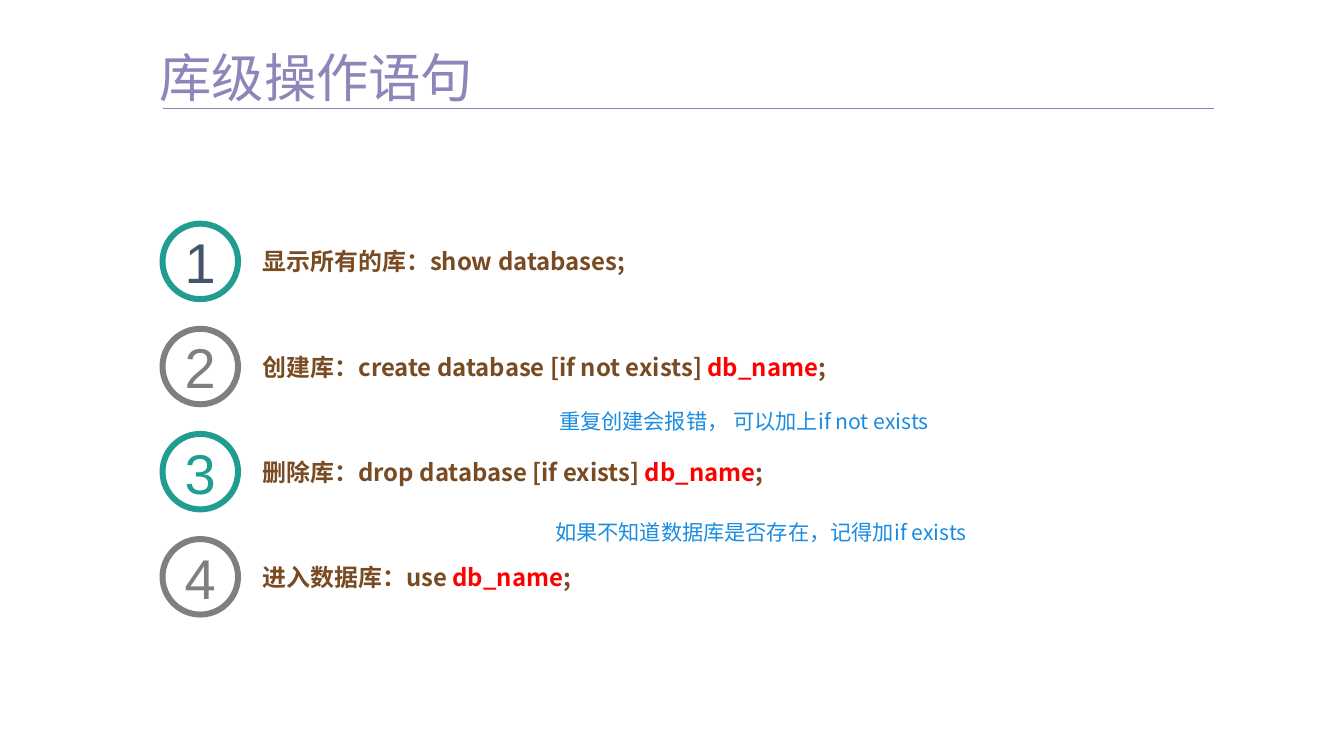
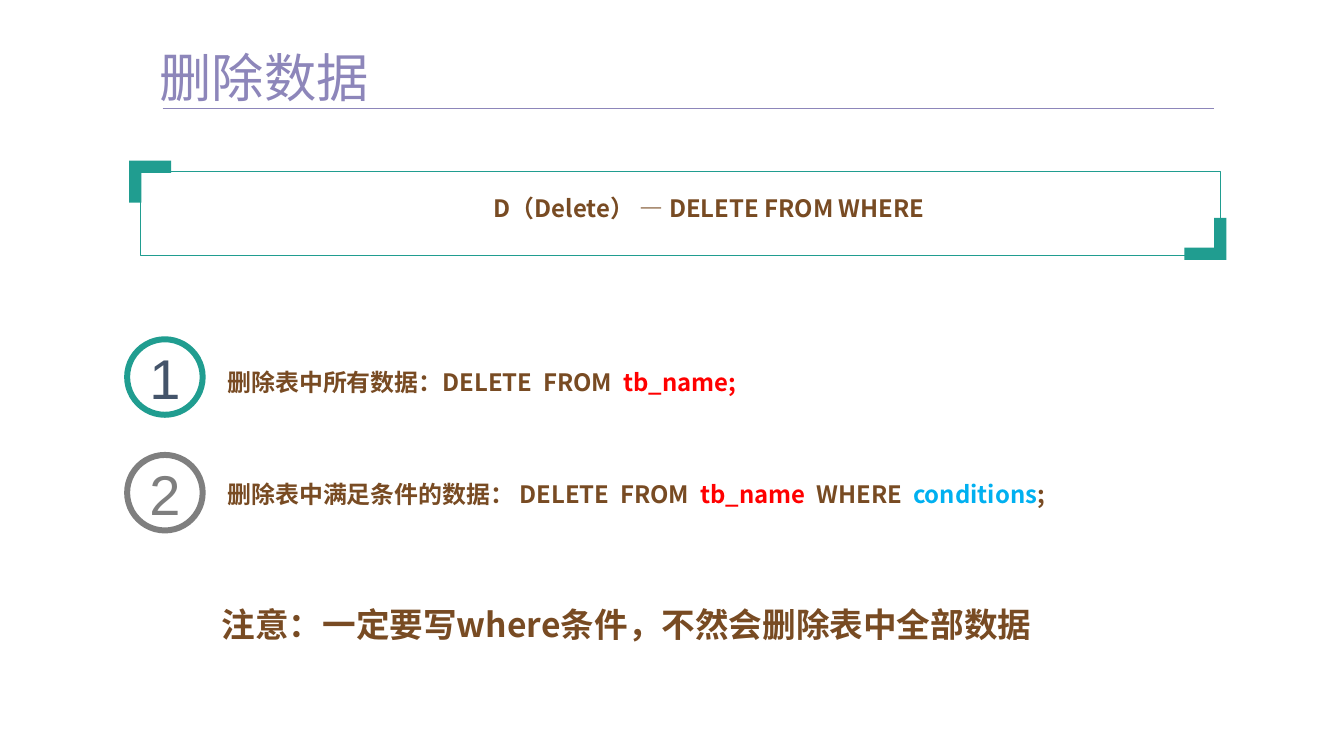
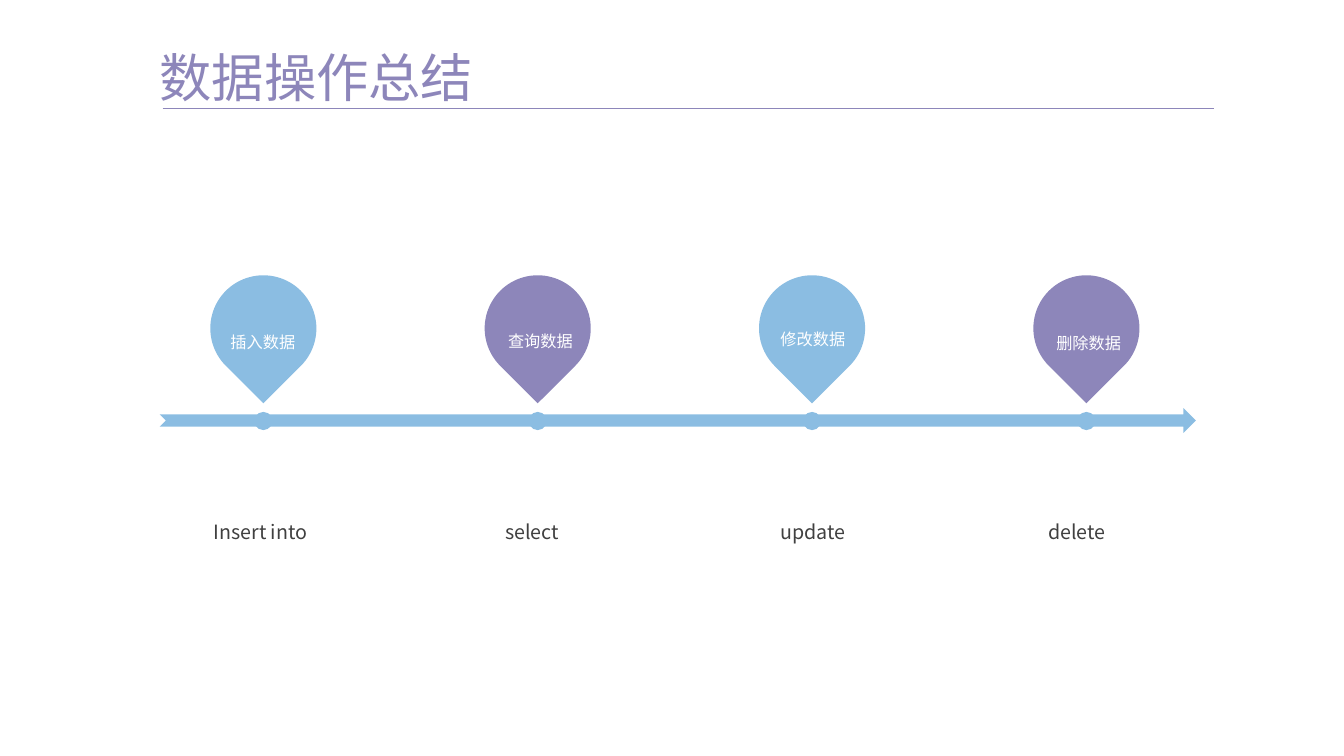
from lxml import etree
from pptx import Presentation
from pptx.dml.color import RGBColor
from pptx.enum.shapes import MSO_CONNECTOR, MSO_SHAPE
from pptx.enum.text import MSO_ANCHOR, MSO_AUTO_SIZE, PP_ALIGN
from pptx.oxml.ns import qn
from pptx.util import Inches, Pt

STRAIGHT = MSO_CONNECTOR.STRAIGHT
OVAL, RECT = MSO_SHAPE.OVAL, MSO_SHAPE.RECTANGLE
DROP, ARROW = MSO_SHAPE.TEAR, MSO_SHAPE.NOTCHED_RIGHT_ARROW
TOP, MIDDLE = MSO_ANCHOR.TOP, MSO_ANCHOR.MIDDLE
LEFT, CENTER = PP_ALIGN.LEFT, PP_ALIGN.CENTER
GROW = MSO_AUTO_SIZE.SHAPE_TO_FIT_TEXT

SANS, ARIAL = "Noto Sans CJK SC", "Arial"
PURPLE, TEAL, GRAY, SKY = "8D86BA", "209D90", "7F7F7F", "8BBDE2"
BROWN, RED, CYAN, BLUE = "784B23", "FF0000", "00B0F0", "1A8CE1"
SLATE, DARK, WHITE = "44546A", "404040", "FFFFFF"
PAD, FLUSH = (0.1, 0.05), (0, 0)
RING = 0.79


def rgb(code):
    return RGBColor.from_string(code)


def paint(shape, fill=None, line=None, width=1):
    shape.shadow.inherit = False
    if fill:
        shape.fill.solid()
        shape.fill.fore_color.rgb = rgb(fill)
    else:
        shape.fill.background()
    if line:
        shape.line.color.rgb = rgb(line)
        shape.line.width = Pt(width)
    else:
        shape.line.fill.background()
    return shape


def write(shape, runs, size, font=SANS, bold=False, align=LEFT, anchor=TOP,
          pad=FLUSH, lead=None, base=None):
    """Fill a shape with one paragraph of (text, colour) runs."""
    frame = shape.text_frame
    frame.word_wrap = True
    frame.vertical_anchor = anchor
    frame.margin_left = frame.margin_right = Inches(pad[0])
    frame.margin_top = frame.margin_bottom = Inches(pad[1])
    para = frame.paragraphs[0]
    para.alignment = align
    if lead:
        para.line_spacing = lead
    for text, color in runs:
        run = para.add_run()
        run.text = text
        run.font.size = Pt(size)
        run.font.name = font
        run.font.bold = bold
        run.font.color.rgb = rgb(color)
        props = run.font._element
        etree.SubElement(props, qn("a:ea")).set("typeface", font)
        if base:
            props.set("baseline", str(base))


class Deck:
    """Holds the shared style and the current slide."""

    def __init__(self):
        self.prs = Presentation()
        self.prs.slide_width = Inches(14.06)
        self.prs.slide_height = Inches(7.91)
        self.shapes = None

    def page(self, title):
        self.shapes = self.prs.slides.add_slide(self.prs.slide_layouts[5]).shapes
        head = self.shapes.title
        head.left, head.top = Inches(1.67), Inches(0.47)
        head.width, head.height = Inches(11), Inches(0.66)
        write(head, [(title, PURPLE)], 39.4)
        head.text_frame.auto_size = GROW
        rule = self.shapes.add_connector(
            STRAIGHT, Inches(1.7), Inches(1.13), Inches(12.7), Inches(1.13))
        rule.line.color.rgb = rgb(PURPLE)
        rule.line.width = Pt(0.5)
        etree.SubElement(rule._element.spPr, qn("a:effectLst"))

    def shape(self, kind, x, y, w, h, **look):
        item = self.shapes.add_shape(kind, Inches(x), Inches(y), Inches(w), Inches(h))
        return paint(item, **look)

    def text(self, x, y, w, h, runs, size, **style):
        box = self.shapes.add_textbox(Inches(x), Inches(y), Inches(w), Inches(h))
        write(box, runs, size, **style)
        box.text_frame.auto_size = GROW
        return box

    def step(self, x, y, num, ink, runs, drop=0, lead=None):
        """Draw a numbered ring and its line of text, lowered by drop."""
        edge = TEAL if num % 2 else GRAY
        ring = self.shape(OVAL, x, y, RING, RING, fill=WHITE, line=edge, width=4.5)
        write(ring, [(str(num), ink)], 42.2, font=ARIAL, align=CENTER, anchor=MIDDLE)
        high = 0.23 if lead else 0.3
        self.text(x + 1.05, y + (RING - high) / 2 + drop, 9.8, high, runs, 18,
                  bold=True, anchor=MIDDLE, lead=lead)

    def corner(self, x, y, turn=0):
        """Draw an L-shaped bracket, top left unless turned."""
        side, arm = 0.44, 0.13
        spots = [(side, 0), (side, arm), (arm, arm), (arm, side), (0, side)]
        pen = self.shapes.build_freeform(Inches(x), Inches(y))
        pen.add_line_segments([(Inches(x + dx), Inches(y + dy)) for dx, dy in spots])
        paint(pen.convert_to_shape(), fill=TEAL).rotation = turn

    def pin(self, x, color, label, left, top, wide):
        drop = self.shape(DROP, x, 2.88, 1.11, 1.11, fill=color)
        drop.rotation = 135
        box = self.text(left, top, wide, 0.36, [(label, WHITE)], 21.1, align=CENTER,
                        pad=PAD, lead=1.2, base=-3000)
        self.shapes.add_group_shape([drop, box])


def library(deck):
    deck.page("库级操作语句")
    name, end = ("db_name", RED), (";", BROWN)
    steps = [
        (SLATE, [("显示所有的库：show databases;", BROWN)]),
        (GRAY, [("创建库：create database [if not exists] ", BROWN), name, end]),
        (TEAL, [("删除库：drop database [if exists] ", BROWN), name, end]),
        (GRAY, [("进入数据库：use ", BROWN), name, end]),
    ]
    for i, (ink, runs) in enumerate(steps):
        deck.step(1.7, 2.34 + 1.1 * i, i + 1, ink, runs)
    for x, y, note in [(5.85, 4.27, "重复创建会报错， 可以加上if not exists"),
                       (5.81, 5.43, "如果不知道数据库是否存在，记得加if exists")]:
        deck.text(x, y, 5.4, 0.27, [(note, BLUE)], 16, anchor=MIDDLE)


def remove(deck):
    deck.page("删除数据")
    deck.shape(RECT, 1.47, 1.79, 11.3, 0.88, line=TEAL, width=0.25)
    deck.corner(1.35, 1.68)
    deck.corner(12.39, 2.28, 180)
    deck.text(4.92, 2.03, 5, 0.3, [("D（Delete） — DELETE FROM WHERE", BROWN)], 18,
              bold=True, align=CENTER)
    deck.step(1.33, 3.55, 1, SLATE, [
        ("删除表中所有数据：DELETE  FROM  ", BROWN), ("tb_name;", RED),
    ], drop=0.09, lead=Pt(15.8))
    deck.step(1.33, 4.76, 2, GRAY, [
        ("删除表中满足条件的数据： DELETE  FROM  ", BROWN), ("tb_name  ", RED),
        ("WHERE  ", BROWN), ("conditions", CYAN), (";", BROWN),
    ], drop=0.05, lead=Pt(15.8))
    deck.text(2.22, 6.27, 9.79, 0.53,
              [("注意：一定要写where条件，不然会删除表中全部数据", BROWN)], 25.3,
              bold=True, pad=PAD)


def recap(deck):
    deck.page("数据操作总结")
    deck.shape(ARROW, 1.67, 4.27, 10.84, 0.26, fill=SKY)
    pins = [
        (SKY, "插入数据", 2.05, 3.23, 1.4, "Insert into", 1.61),
        (PURPLE, "查询数据", 5.06, 3.22, 1.19, "select", 4.45),
        (SKY, "修改数据", 7.88, 3.19, 1.25, "update", 7.39),
        (PURPLE, "删除数据", 10.42, 3.24, 1.94, "delete", 10.15),
    ]
    for i, (color, label, left, top, wide, verb, start) in enumerate(pins):
        x = 2.2 + 2.87 * i
        deck.shape(OVAL, x + 0.46, 4.31, 0.19, 0.19, fill=SKY)
        deck.pin(x, color, label, left, top, wide)
        deck.text(start, 5.32, 2.23, 0.4, [(verb, DARK)], 14.8, align=CENTER,
                  pad=(0.11, 0.05), lead=1.3)


def main():
    deck = Deck()
    for build in (library, remove, recap):
        build(deck)
    deck.prs.save("out.pptx")


if __name__ == "__main__":
    main()
